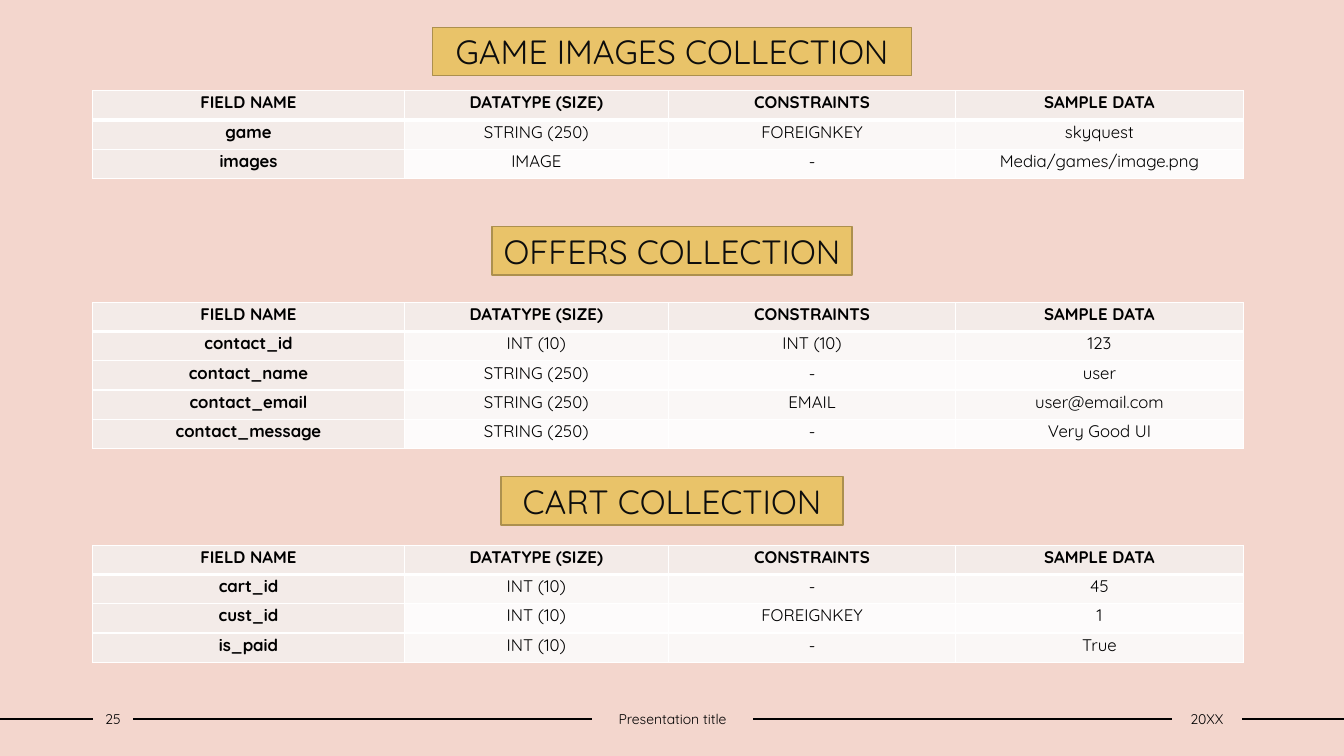
from dataclasses import dataclass

import pptx
import pptx.dml.color
import pptx.enum.shapes
import pptx.enum.text
import pptx.oxml
import pptx.oxml.ns
import pptx.util
from pptx.util import Inches


@dataclass(frozen=True)
class Theme:
    font: str = "Quicksand"
    background: str = "F3D6CD"
    ink: str = "000000"
    banner_ink: str = "0D0D0D"
    banner_fill: str = "E9C369"
    banner_line: str = "AC904E"
    heading_fill: str = "F3EBE8"
    bands: tuple = ("FAF7F6", "FDFBFB")
    border: str = "FFFFFF"
    banner_size: int = 24
    table_size: int = 12
    footer_size: int = 10
    thin: int = 1
    thick: int = 3


THEME = Theme()

# Geometry shared by the three collections, in inches
SLIDE_WIDTH = 13.33
TABLE_LEFT = 0.92
COLUMN_WIDTHS = (3.09, 2.62, 2.85, 2.85)
ROW_HEIGHT = 0.29
BANNER_HEIGHT = 0.48

HEADINGS = ("FIELD NAME", "DATATYPE (SIZE)", "CONSTRAINTS", "SAMPLE DATA")

# Title, banner (left, top, width), table top, fields
COLLECTIONS = (
    ("GAME IMAGES COLLECTION", (4.29, 0.27, 4.75), 0.9, (
        ("game", "STRING (250)", "FOREIGNKEY", "skyquest"),
        ("images", "IMAGE", "-", "Media/games/image.png"),
    )),
    ("OFFERS COLLECTION", (4.88, 2.25, 3.57), 3, (
        ("contact_id", "INT (10)", "INT (10)", "123"),
        ("contact_name", "STRING (250)", "-", "user"),
        ("contact_email", "STRING (250)", "EMAIL", "user@email.com"),
        ("contact_message", "STRING (250)", "-", "Very Good UI"),
    )),
    ("CART COLLECTION", (4.97, 4.73, 3.39), 5.41, (
        ("cart_id", "INT (10)", "-", "45"),
        ("cust_id", "INT (10)", "FOREIGNKEY", "1"),
        ("is_paid", "INT (10)", "-", "True"),
    )),
)

# Text, left, width
FOOTER_TOP, FOOTER_HEIGHT = 7, 0.27
FOOTER = (("25", 0.92, 0.4), ("Presentation title", 5.87, 1.6), ("20XX", 11.62, 0.7))


def rgb(code):
    return pptx.dml.color.RGBColor.from_string(code)


def write_text(frame, text, *, size, color=THEME.ink, bold=False,
               line_spacing=None, space_after=None):
    """Put one centred paragraph in a text frame."""
    paragraph = frame.paragraphs[0]
    paragraph.alignment = pptx.enum.text.PP_ALIGN.CENTER
    if line_spacing is not None:
        paragraph.line_spacing = line_spacing
    if space_after is not None:
        paragraph.space_after = pptx.util.Pt(space_after)
    run = paragraph.add_run()
    run.text = text
    run.font.name = THEME.font
    run.font.size = pptx.util.Pt(size)
    run.font.bold = bold
    run.font.color.rgb = rgb(color)


def add_banner(slide, title, left, top, width):
    banner = slide.shapes.add_shape(
        pptx.enum.shapes.MSO_SHAPE.RECTANGLE,
        Inches(left), Inches(top), Inches(width), Inches(BANNER_HEIGHT))
    banner.shadow.inherit = False
    banner.fill.solid()
    banner.fill.fore_color.rgb = rgb(THEME.banner_fill)
    banner.line.color.rgb = rgb(THEME.banner_line)
    banner.line.width = pptx.util.Pt(THEME.thin)
    banner.text_frame.vertical_anchor = pptx.enum.text.MSO_ANCHOR.MIDDLE
    write_text(banner.text_frame, title, size=THEME.banner_size, color=THEME.banner_ink)


def set_borders(cell, top, bottom):
    """Draw the four cell borders; side borders are always thin."""
    widths = {"lnL": THEME.thin, "lnR": THEME.thin, "lnT": top, "lnB": bottom}
    properties = cell._tc.get_or_add_tcPr()
    for position, (side, width) in enumerate(widths.items()):
        properties.insert(position, pptx.oxml.parse_xml(
            f'<a:{side} {pptx.oxml.ns.nsdecls("a")} w="{pptx.util.Pt(width)}">'
            f'<a:solidFill><a:srgbClr val="{THEME.border}"/></a:solidFill></a:{side}>'))


def add_field_table(slide, top, fields):
    rows = (HEADINGS, *fields)
    table = slide.shapes.add_table(
        len(rows), len(HEADINGS), Inches(TABLE_LEFT), Inches(top),
        Inches(sum(COLUMN_WIDTHS)), Inches(ROW_HEIGHT * len(rows))).table
    table.horz_banding = False
    for column, width in zip(table.columns, COLUMN_WIDTHS):
        column.width = Inches(width)
    for r, values in enumerate(rows):
        table.rows[r].height = Inches(ROW_HEIGHT)
        for c, value in enumerate(values):
            cell = table.cell(r, c)
            is_heading = r == 0 or c == 0
            cell.margin_left = cell.margin_right = Inches(0.07)
            cell.margin_top = cell.margin_bottom = 0
            cell.fill.solid()
            cell.fill.fore_color.rgb = rgb(
                THEME.heading_fill if is_heading else THEME.bands[(r - 1) % 2])
            set_borders(cell,
                        top=THEME.thick if r == 1 else THEME.thin,
                        bottom=THEME.thick if r == 0 else THEME.thin)
            write_text(cell.text_frame, value, size=THEME.table_size, bold=is_heading,
                       line_spacing=1.07, space_after=8)


def add_footer_label(slide, text, left, width):
    label = slide.shapes.add_textbox(
        Inches(left), Inches(FOOTER_TOP), Inches(width), Inches(FOOTER_HEIGHT))
    frame = label.text_frame
    frame.word_wrap = True
    frame.margin_left = frame.margin_right = 0
    frame.vertical_anchor = pptx.enum.text.MSO_ANCHOR.MIDDLE
    write_text(frame, text, size=THEME.footer_size)
    return label


def add_footer_rule(slide, before, after):
    """Rule between two labels, or out to the slide edge where one is None."""
    middle = Inches(FOOTER_TOP + FOOTER_HEIGHT / 2)
    rule = slide.shapes.add_connector(
        pptx.enum.shapes.MSO_CONNECTOR.STRAIGHT, 0, middle, Inches(SLIDE_WIDTH), middle)
    if before is not None:
        rule.begin_connect(before, 3)
    if after is not None:
        rule.end_connect(after, 1)
    rule.line.color.rgb = rgb(THEME.ink)
    rule.line.width = pptx.util.Pt(THEME.thin)
    rule._element.spPr.append(
        pptx.oxml.parse_xml(f'<a:effectLst {pptx.oxml.ns.nsdecls("a")}/>'))


def main():
    presentation = pptx.Presentation()
    presentation.slide_width = Inches(SLIDE_WIDTH)
    presentation.slide_height = Inches(7.5)
    slide = presentation.slides.add_slide(presentation.slide_layouts[6])
    slide.background.fill.solid()
    slide.background.fill.fore_color.rgb = rgb(THEME.background)

    # Footer labels joined by rules
    labels = [add_footer_label(slide, *label) for label in FOOTER]
    for before, after in zip([None, *labels], [*labels, None]):
        add_footer_rule(slide, before, after)

    # Collections: a table under each banner
    for title, banner, table_top, fields in COLLECTIONS:
        add_field_table(slide, table_top, fields)
        add_banner(slide, title, *banner)

    presentation.save("out.pptx")


if __name__ == "__main__":
    main()
